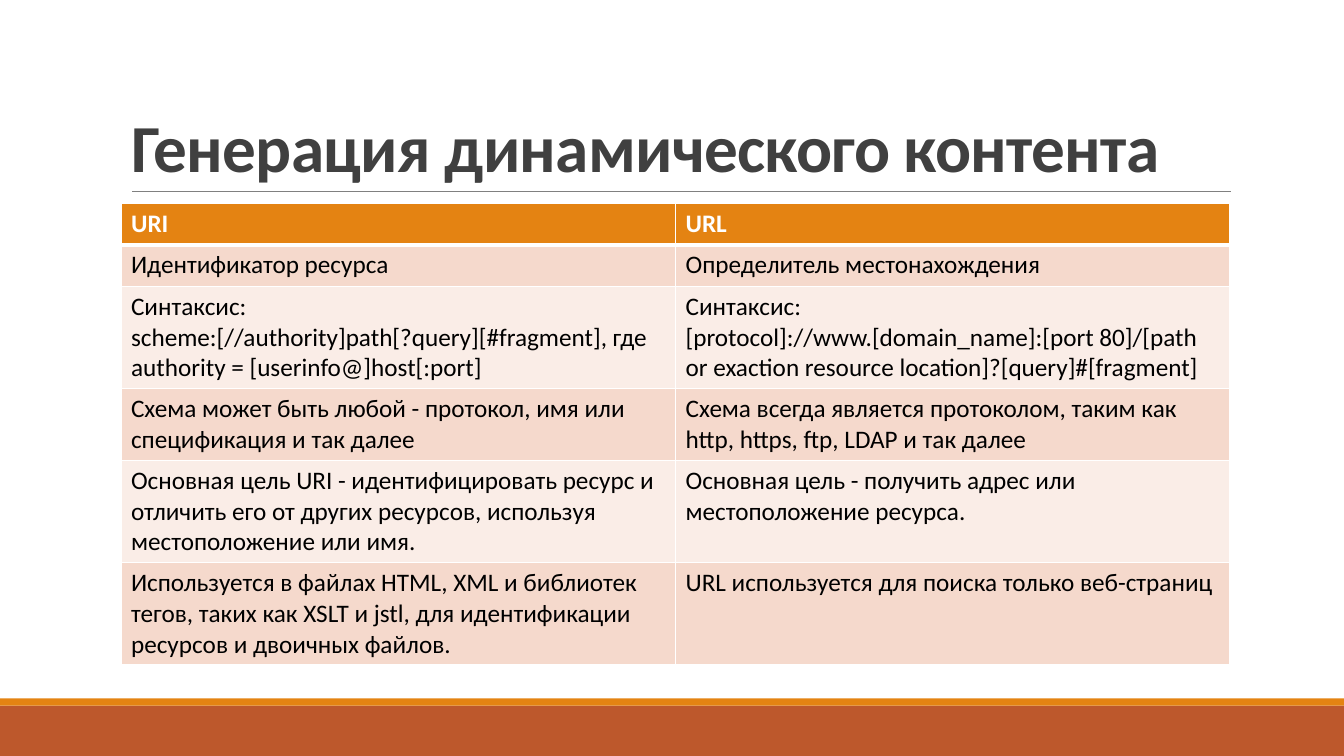
from dataclasses import dataclass

from lxml import etree
from pptx import Presentation
from pptx.dml.color import RGBColor
from pptx.enum.shapes import MSO_CONNECTOR, MSO_SHAPE
from pptx.enum.text import MSO_ANCHOR, MSO_AUTO_SIZE, PP_ALIGN
from pptx.oxml.ns import qn
from pptx.util import Inches, Pt

STRAIGHT = MSO_CONNECTOR.STRAIGHT
RECTANGLE = MSO_SHAPE.RECTANGLE
BOTTOM = MSO_ANCHOR.BOTTOM
NO_AUTOFIT = MSO_AUTO_SIZE.NONE
LEFT = PP_ALIGN.LEFT

TITLE = "Генерация динамического контента"
HEADER = ("URI", "URL")
COMPARISON = [
    ("Идентификатор ресурса", "Определитель местонахождения"),
    (
        "Синтаксис:\nscheme:[//authority]path[?query][#fragment], где authority = [userinfo@]host[:port]",
        "Синтаксис:\n[protocol]://www.[domain_name]:[port 80]/[path or exaction resource location]"
        "?[query]#[fragment]",
    ),
    (
        "Схема может быть любой - протокол, имя или спецификация и так далее",
        "Схема всегда является протоколом, таким как http, https, ftp, LDAP и так далее",
    ),
    (
        "Основная цель URI - идентифицировать ресурс и отличить его от других ресурсов, "
        "используя местоположение или имя.",
        "Основная цель - получить адрес или местоположение ресурса.",
    ),
    (
        "Используется в файлах HTML, XML и библиотек тегов, таких как XSLT и jstl, "
        "для идентификации ресурсов и двоичных файлов.",
        "URL используется для поиска только веб-страниц",
    ),
]


@dataclass(frozen=True)
class Theme:
    font: str = "Calibri"
    title_size: int = 48
    table_size: int = 18
    title: str = "404040"
    rule: str = "808080"
    orange: str = "E48312"
    rust: str = "BD582C"
    odd_row: str = "F5D9CC"
    even_row: str = "FAEDE7"
    white: str = "FFFFFF"
    black: str = "000000"


THEME = Theme()
SLIDE_WIDTH, SLIDE_HEIGHT = 13.33, 7.5
CONTENT_LEFT, CONTENT_WIDTH = 1.2, 11
TABLE_TOP, ROW_HEIGHT = 2.02, 0.41


def rgb(color):
    return RGBColor.from_string(color)


def add_run(paragraph, text, size, color, bold):
    run = paragraph.add_run()
    run.text = text
    run.font.name = THEME.font
    run.font.size = Pt(size)
    run.font.bold = bold
    run.font.color.rgb = rgb(color)
    return run


def add_band(slide, top, height, color):
    band = slide.shapes.add_shape(
        RECTANGLE, 0, Inches(top), Inches(SLIDE_WIDTH), Inches(height)
    )
    band.shadow.inherit = False
    band.fill.solid()
    band.fill.fore_color.rgb = rgb(color)
    band.line.fill.background()


def add_rule(slide):
    rule = slide.shapes.add_connector(
        STRAIGHT, Inches(1.31), Inches(1.9), Inches(12.21), Inches(1.9)
    )
    rule.line.color.rgb = rgb(THEME.rule)
    rule.line.width = Pt(0.5)
    etree.SubElement(rule._element.spPr, qn("a:effectLst"))


def fill_title(slide):
    title = slide.shapes.title
    title.left, title.top = Inches(CONTENT_LEFT), Inches(0.31)
    title.width, title.height = Inches(CONTENT_WIDTH), Inches(1.59)
    frame = title.text_frame
    frame.word_wrap = True
    frame.auto_size = NO_AUTOFIT
    frame.vertical_anchor = BOTTOM
    paragraph = frame.paragraphs[0]
    paragraph.alignment = LEFT
    paragraph.line_spacing = 0.85
    run = add_run(paragraph, TITLE, THEME.title_size, THEME.title, True)
    run.font._element.set("spc", "-50")


def set_borders(cell, bottom_width):
    """Draw white cell borders; they must precede the fill in the XML."""
    properties = cell._tc.get_or_add_tcPr()
    widths = {"a:lnL": 1, "a:lnR": 1, "a:lnT": 1, "a:lnB": bottom_width}
    for side, width in widths.items():
        line = etree.SubElement(properties, qn(side), w=str(Pt(width)))
        fill = etree.SubElement(line, qn("a:solidFill"))
        etree.SubElement(fill, qn("a:srgbClr"), val=THEME.white)


def fill_cell(cell, text, fill, color, is_header):
    set_borders(cell, 3 if is_header else 1)
    cell.fill.solid()
    cell.fill.fore_color.rgb = rgb(fill)
    paragraph = cell.text_frame.paragraphs[0]
    for index, line in enumerate(text.split("\n")):
        if index:
            paragraph.add_line_break()
        add_run(paragraph, line, THEME.table_size, color, is_header)


def add_comparison_table(slide):
    rows = [HEADER, *COMPARISON]
    table = slide.shapes.add_table(
        len(rows), len(HEADER), Inches(CONTENT_LEFT), Inches(TABLE_TOP),
        Inches(CONTENT_WIDTH), Inches(ROW_HEIGHT * len(rows)),
    ).table
    for row_index, texts in enumerate(rows):
        is_header = row_index == 0
        if is_header:
            fill, color = THEME.orange, THEME.white
        else:
            fill = THEME.odd_row if row_index % 2 else THEME.even_row
            color = THEME.black
        for column_index, text in enumerate(texts):
            fill_cell(table.cell(row_index, column_index), text, fill, color, is_header)


def main():
    presentation = Presentation()
    presentation.slide_width = Inches(SLIDE_WIDTH)
    presentation.slide_height = Inches(SLIDE_HEIGHT)
    title_only = presentation.slide_layouts.get_by_name("Title Only")
    slide = presentation.slides.add_slide(title_only)
    add_band(slide, 7, 0.5, THEME.rust)
    add_band(slide, 6.93, 0.07, THEME.orange)
    add_rule(slide)
    fill_title(slide)
    add_comparison_table(slide)
    presentation.save("out.pptx")


if __name__ == "__main__":
    main()
